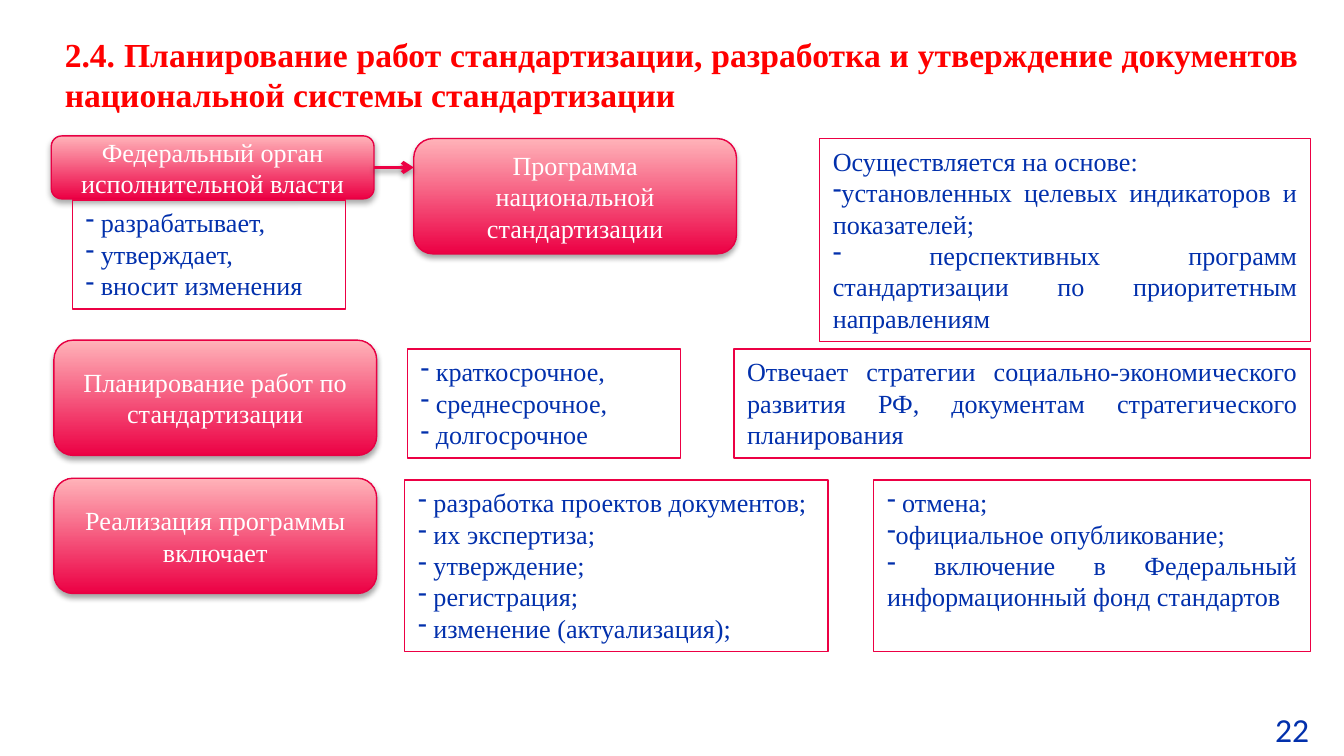
from lxml.etree import SubElement
from pptx import Presentation
from pptx.dml.color import RGBColor
from pptx.enum.shapes import MSO_CONNECTOR as Connector, MSO_SHAPE as Preset
from pptx.enum.text import MSO_ANCHOR as Anchor, MSO_AUTO_SIZE as AutoSize, PP_ALIGN as Align
from pptx.oxml.ns import qn
from pptx.util import Cm, Pt

RED = RGBColor(0xFF, 0x00, 0x00)
CRIMSON = RGBColor(0xEC, 0x00, 0x44)
EDGE = RGBColor(0xE7, 0x00, 0x43)
PINK = RGBColor(0xFF, 0xB3, 0xB9)
BLUE = RGBColor(0x02, 0x30, 0xAC)
WHITE = RGBColor(0xFF, 0xFF, 0xFF)

LEFT, RIGHT = 1.02, 24.77
STAGE_WIDTH, STAGE_HEIGHT = 6.1, 2.18
LIST_WIDTH, LIST_HEIGHT = 5.16, 2.06
PLAN_TOP, PROGRAM_TOP, STEPS_TOP = 6.6, 2.62, 9.07


class SlideBuilder:
    font = "Times New Roman"
    size = 14

    def __init__(self, slide):
        self.slide = slide

    def place(self, shape, left, top, width, height):
        shape.left, shape.top = Cm(left), Cm(top)
        shape.width, shape.height = Cm(width), Cm(height)

    def add_text(self, paragraph, text, color, size=None, font=None, bold=False):
        run = paragraph.add_run()
        run.text = text
        run.font.name = font or self.font
        run.font.size = Pt(size or self.size)
        run.font.bold = bold
        run.font.color.rgb = color

    def frame(self, shape, anchor=Anchor.TOP):
        frame = shape.text_frame
        frame.word_wrap = True
        frame.auto_size = AutoSize.NONE
        frame.vertical_anchor = anchor
        return frame

    def shadow(self, properties, opacity, distance):
        effects = properties.find(qn("a:effectLst"))
        if effects is None:
            effects = SubElement(properties, qn("a:effectLst"))
        outer = SubElement(effects, qn("a:outerShdw"), blurRad=str(Pt(3.1)),
                           dist=str(Pt(distance)), dir="5400000", rotWithShape="0")
        black = SubElement(outer, qn("a:srgbClr"), val="000000")
        SubElement(black, qn("a:alpha"), val=str(opacity * 1000))

    def title(self, text, *box):
        heading = self.slide.shapes.title
        self.place(heading, *box)
        heading.fill.solid()
        heading.fill.fore_color.rgb = WHITE
        paragraph = self.frame(heading).paragraphs[0]
        paragraph.alignment = Align.JUSTIFY
        paragraph.space_after = Pt(6)
        self.add_text(paragraph, text, RED, size=18, bold=True)

    def stage(self, text, left, top, height=STAGE_HEIGHT):
        """Add a glossy rounded block naming one stage."""
        block = self.slide.shapes.add_shape(
            Preset.ROUNDED_RECTANGLE, Cm(left), Cm(top), Cm(STAGE_WIDTH), Cm(height))
        block.fill.gradient()
        block.fill.gradient_angle = 90
        for stop, color in zip(block.fill.gradient_stops, (CRIMSON, PINK)):
            stop.color.rgb = color
        block.line.color.rgb = EDGE
        block.line.width = Pt(0.75)
        block.shadow.inherit = False
        self.shadow(block.element.spPr, 35, 1.8)
        paragraph = self.frame(block, Anchor.MIDDLE).paragraphs[0]
        paragraph.alignment = Align.CENTER
        self.add_text(paragraph, text, WHITE)
        return block

    def panel(self, box, items, lead=None, align=Align.LEFT, holder=None):
        """Add an outlined panel: an optional plain lead, then dashed items."""
        panel = holder or self.slide.shapes.add_textbox(0, 0, 0, 0)
        self.place(panel, *box)
        panel.line.color.rgb = CRIMSON
        panel.line.width = Pt(0.75)
        frame = self.frame(panel)
        lines = ([lead] if lead else []) + items
        for number, text in enumerate(lines):
            paragraph = frame.add_paragraph() if number else frame.paragraphs[0]
            paragraph.alignment = align
            paragraph.space_before = Pt(0)
            if text != lead:
                self.dash(paragraph)
            self.add_text(paragraph, text, BLUE)

    def dash(self, paragraph):
        properties = paragraph._p.get_or_add_pPr()
        properties.set("marL", "0")
        properties.set("indent", "0")
        SubElement(properties, qn("a:buFontTx"))
        SubElement(properties, qn("a:buChar"), char="-")

    def arrow(self, source, end_x):
        """Draw a level arrow from the right side of source to end_x."""
        y = source.top + source.height // 2
        arrow = self.slide.shapes.add_connector(
            Connector.STRAIGHT, source.left + source.width, y, Cm(end_x), y)
        arrow.begin_connect(source, 3)
        arrow.line.color.rgb = CRIMSON
        arrow.line.width = Pt(2)
        outline = arrow.element.spPr.find(qn("a:ln"))
        SubElement(outline, qn("a:tailEnd"), type="arrow")
        self.shadow(arrow.element.spPr, 38, 1.6)

    def page_number(self, text, *box):
        number = self.slide.shapes.add_textbox(*map(Cm, box))
        paragraph = self.frame(number).paragraphs[0]
        self.add_text(paragraph, text, BLUE, size=18, font="Calibri")


def main():
    deck = Presentation()
    deck.slide_width, deck.slide_height = Cm(25.4), Cm(14.29)
    slide = deck.slides.add_slide(deck.slide_layouts.get_by_name("Two Content"))
    steps, outcomes = list(slide.placeholders)[1:]
    builder = SlideBuilder(slide)

    builder.title("2.4. Планирование работ стандартизации, разработка и утверждение "
                  "документов национальной системы стандартизации", 0.97, 0.51, 23.83, 2.69)

    authority = builder.stage("Федеральный орган исполнительной власти", 0.97, 2.57, 1.19)
    builder.panel((1.37, 3.78, LIST_WIDTH, LIST_HEIGHT),
                  [" разрабатывает,", " утверждает,", " вносит изменения"])
    program_left = 7.82
    builder.stage("Программа национальной стандартизации", program_left, PROGRAM_TOP)
    builder.arrow(authority, program_left)
    builder.panel((15.49, PROGRAM_TOP, RIGHT - 15.49, 3.84),
                  ["установленных целевых индикаторов и показателей;",
                   " перспективных программ стандартизации по приоритетным направлениям"],
                  lead="Осуществляется на основе:", align=Align.JUSTIFY)

    builder.stage("Планирование работ по стандартизации", LEFT, 6.43)
    builder.panel((7.7, PLAN_TOP, LIST_WIDTH, LIST_HEIGHT),
                  [" краткосрочное,", " среднесрочное,", " долгосрочное"])
    builder.panel((13.87, PLAN_TOP, RIGHT - 13.87, LIST_HEIGHT), [],
                  lead="Отвечает стратегии социально-экономического развития РФ, "
                       "документам стратегического планирования", align=Align.JUSTIFY)

    builder.stage("Реализация программы включает", LEFT, 9.04)
    builder.panel((7.65, STEPS_TOP, 8, 3.25),
                  [" разработка проектов документов;", " их экспертиза;", " утверждение;",
                   " регистрация;", " изменение (актуализация);"], holder=steps)
    builder.panel((16.51, STEPS_TOP, RIGHT - 16.51, 3.25),
                  [" отмена;", "официальное опубликование;",
                   " включение в Федеральный информационный фонд стандартов"],
                  align=Align.JUSTIFY, holder=outcomes)

    builder.page_number("22", 23.85, 13.28, 1.55, 1.02)
    deck.save("out.pptx")


if __name__ == "__main__":
    main()
